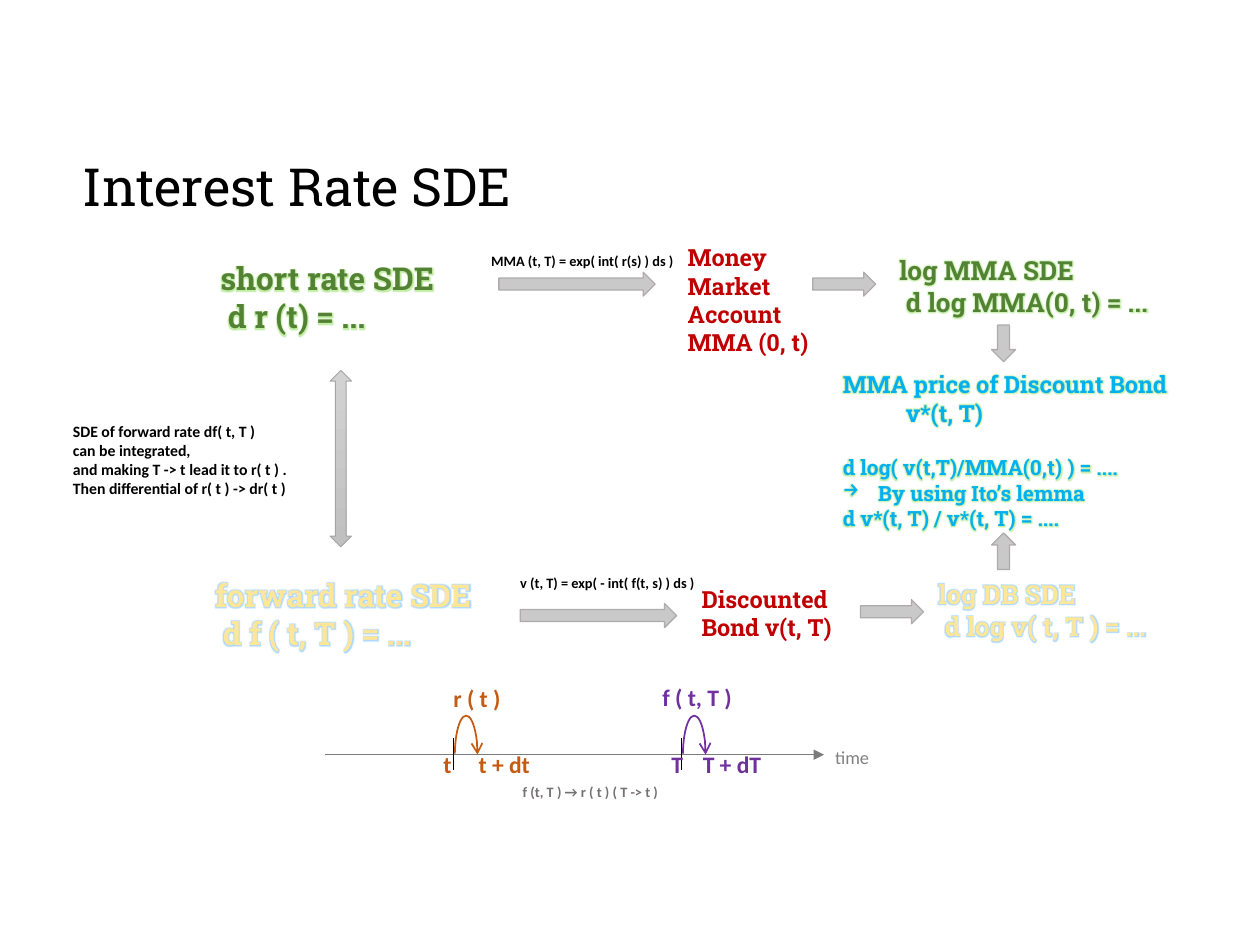
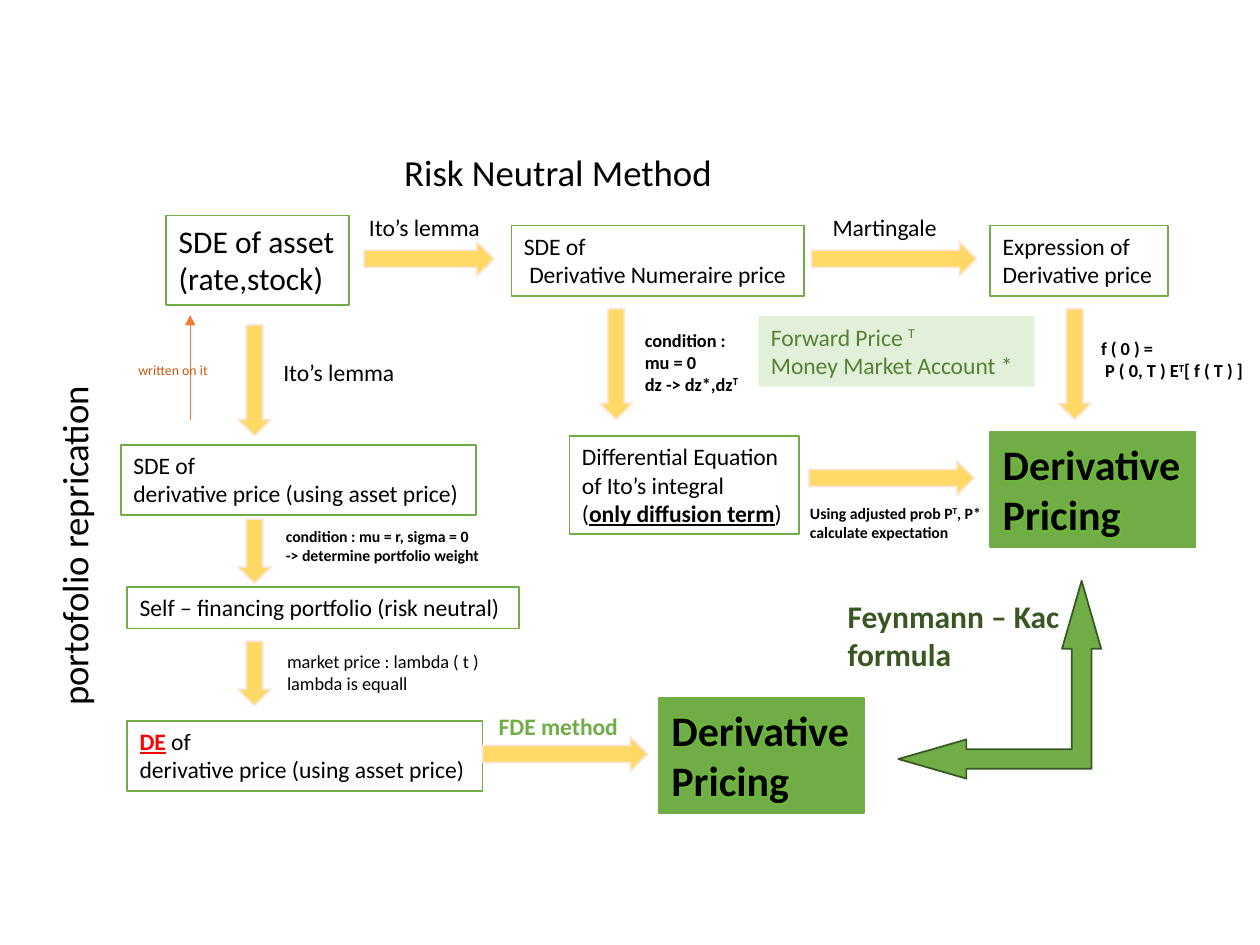
from lxml.etree import SubElement
from pptx import Presentation
from pptx.dml.color import RGBColor
from pptx.enum.shapes import MSO_CONNECTOR, MSO_SHAPE
from pptx.enum.text import MSO_AUTO_SIZE
from pptx.oxml.ns import qn
from pptx.util import Pt

EMU_PER_PX = 9144
SERIF, SANS = "Roboto Slab", "Calibri"
COLORS = {
    "black": "000000", "white": "FFFFFF", "red": "C00000", "alert": "FF0000",
    "moss": "548235", "cream": "FFE699", "sky": "00B0F0", "rust": "C55A11",
    "purple": "7030A0", "slate": "767171", "axis": "7C7C7C", "label": "808080",
    "gray": "C9C9C9", "gray edge": "AFABAB", "gray top": "D2D2D2",
    "gray bottom": "C0C0C0", "gray rim": "A5A5A5", "gold": "FFD966",
    "gold edge": "FBE5D6", "orange": "ED7D31", "green": "70AD47",
    "forest": "385723", "mint": "E2F0D9", "lime glow": "68D31F", "blue glow": "31A0FF",
}


def px(length):
    return length * EMU_PER_PX


def rgb(name):
    return RGBColor.from_string(COLORS[name])


class Board:
    def __init__(self, deck):
        self.deck = deck
        self.slide = None

    def new_slide(self):
        self.slide = self.deck.slides.add_slide(self.deck.slide_layouts[6])

    def paint(self, shape, fill=None, line=None, width=1):
        if fill:
            shape.fill.solid()
            shape.fill.fore_color.rgb = rgb(fill)
        else:
            shape.fill.background()
        if line:
            shape.line.color.rgb = rgb(line)
            shape.line.width = Pt(width)
        else:
            shape.line.fill.background()

    def arrowhead(self, shape, kind):
        SubElement(shape.line._get_or_add_ln(), qn("a:tailEnd"), type=kind)

    def add_glow(self, run, color):
        effects = SubElement(run._r.get_or_add_rPr(), qn("a:effectLst"))
        glow = SubElement(effects, qn("a:glow"), rad="48000")
        tint = SubElement(glow, qn("a:srgbClr"), val=COLORS[color])
        SubElement(tint, qn("a:alpha"), val="40000")

    def add_run(self, paragraph, text, mark=None, glow=None):
        run = paragraph.add_run()
        run.text = text
        if mark == "super":
            run._r.get_or_add_rPr().set("baseline", "30000")
        elif mark:
            run.font.bold = run.font.underline = True
            if mark == "alert":
                run.font.color.rgb = rgb("alert")
        if glow:
            self.add_glow(run, glow)

    def text(self, at, lines, size, color="black", bold=False, font=SANS,
             glow=None, fill=None, line=None, rotation=0):
        box = self.slide.shapes.add_textbox(*map(px, at))
        box.rotation = rotation
        self.paint(box, fill, line)
        frame = box.text_frame
        frame.word_wrap = False
        frame.auto_size = MSO_AUTO_SIZE.SHAPE_TO_FIT_TEXT
        for index, content in enumerate(lines):
            paragraph = frame.add_paragraph() if index else frame.paragraphs[0]
            style = paragraph.font
            style.name, style.size, style.bold = font, Pt(size), bold
            style.color.rgb = rgb(color)
            for part in [(content,)] if isinstance(content, str) else content:
                self.add_run(paragraph, *part, glow=glow)
        return frame.paragraphs

    def serif(self, at, lines, size, color, glow=None):
        return self.text(at, lines, size, color, True, SERIF, glow)

    def step(self, at, lines, size=13.5):
        self.text(at, lines, size, fill="white", line="green")

    def goal(self, left, top):
        self.text((left, top, 163, 91), ["Derivative", "Pricing"], 24, bold=True,
                  glow="lime glow", fill="green", line="green")

    def shape(self, kind, at, fill=None, line=None, width=1, adjustments=()):
        shape = self.slide.shapes.add_shape(kind, *map(px, at))
        shape.shadow.inherit = False
        for index, value in enumerate(adjustments):
            shape.adjustments[index] = value
        self.paint(shape, fill, line, width)
        return shape

    def gray_arrow(self, kind, *at):
        self.shape(kind, at, "gray", "gray edge", 0.75)

    def gold_arrow(self, kind, *at):
        self.shape(kind, at, "gold", "gold edge")

    def line(self, start, end, color, head=None):
        line = self.slide.shapes.add_connector(MSO_CONNECTOR.STRAIGHT, *map(px, start + end))
        line.line.color.rgb = rgb(color)
        line.line.width = Pt(0.5)
        SubElement(line._element.spPr, qn("a:effectLst"))
        if head:
            self.arrowhead(line, head)

    def hop(self, left, color):
        arc = self.shape(MSO_SHAPE.ARC, (left, 568, 18, 62), line=color,
                         adjustments=(111.53, 0))
        self.arrowhead(arc, "arrow")


def timeline(board):
    board.line((258, 599), (654, 599), "axis", "triangle")
    board.text((653, 587, 48, 28), ["time"], 10.5, "label")
    moments = [
        (360, "rust", ("t", 342, 27), ("t + dt", 370, 61), ("r ( t )", 350, 538, 58)),
        (541, "purple", ("T", 523, 29), ("T + dT", 548, 67), ("f ( t, T )", 516, 537, 76)),
    ]
    for tick, color, start, end, (rate, left, top, width) in moments:
        board.line((tick, 586), (tick, 611), "black")
        for label, label_left, label_width in (start, end):
            board.text((label_left, 590, label_width, 33), [label], 13.5, color, True)
        board.hop(tick + 1, color)
        board.text((left, top, width, 33), [rate], 13.5, color, True)
    board.text((405, 617, 132, 24), ["f (t, T ) → r ( t ) ( T -> t )"], 8.2, "slate", True)


def interest_rate(board):
    board.new_slide()
    board.text((56, 117, 400, 61), ["Interest Rate SDE"], 30, font=SERIF)
    sdes = [
        ((165, 201, 216, 71), ["short rate SDE", " d r (t) = ..."], 18, "moss", "lime glow"),
        ((704, 197, 234, 61), ["log MMA SDE", " d log MMA(0, t) = ..."], 15, "moss", "lime glow"),
        ((161, 452, 247, 71), ["forward rate SDE", " d f ( t, T ) = ..."], 18, "cream", "blue glow"),
        ((735, 454, 210, 61), ["log DB SDE", " d log v( t, T ) = ..."], 15, "cream", "blue glow"),
        ((536, 188, 124, 101), ["Money", "Market", "Account", "MMA (0, t)"], 13.5, "red"),
        ((547, 459, 138, 56), ["Discounted", "Bond v(t, T)"], 13.5, "red"),
    ]
    for sde in sdes:
        board.serif(*sde)

    exchange = board.shape(MSO_SHAPE.UP_DOWN_ARROW, (262, 294, 17, 140),
                           line="gray rim", width=0.5)
    exchange.fill.gradient()
    exchange.fill.gradient_angle = 270
    for stop, color in zip(exchange.fill.gradient_stops, ("gray top", "gray bottom")):
        stop.color.rgb = rgb(color)

    for left, top, width in ((396, 216, 124), (413, 479, 124), (645, 216, 50), (683, 476, 50)):
        board.gray_arrow(MSO_SHAPE.RIGHT_ARROW, left, top, width, 19)
    board.gray_arrow(MSO_SHAPE.DOWN_ARROW, 787, 258, 19, 29)
    board.gray_arrow(MSO_SHAPE.UP_ARROW, 787, 423, 19, 29)

    board.text((48, 330, 192, 71), [
        "SDE of forward rate df( t, T )", "can be integrated,",
        "and making T -> t lead it to r( t ) .", "Then differential of r( t ) -> dr( t )",
    ], 9, bold=True)
    board.text((380, 195, 169, 24), ["MMA (t, T) = exp( int( r(s) ) ds )"], 8.2, bold=True)
    board.text((403, 451, 162, 24), ["v (t, T) = exp( - int( f(t, s) ) ds )"], 8.2, bold=True)
    timeline(board)

    bond = board.serif((659, 289, 299, 136), [
        "MMA price of Discount Bond", "\tv*(t, T)", "d log( v(t,T)/MMA(0,t) ) = ....",
        "By using Ito’s lemma", "d v*(t, T) / v*(t, T) = ....",
    ], 13.5, "sky", "lime glow")
    for paragraph in bond[2:]:
        paragraph.font.size = Pt(12)
    bond[2].space_before = Pt(16)
    lemma = bond[3]._p.get_or_add_pPr()
    lemma.set("marL", str(px(28)))
    lemma.set("indent", str(px(-28)))
    bullet = SubElement(lemma, qn("a:buChar"), char="→")
    lemma.insert(0, bullet)


def risk_neutral(board):
    board.new_slide()
    board.text((311, 114, 345, 45), ["Risk Neutral Method"], 21)
    board.text((-123, 366, 363, 45), ["portofolio reprication"], 21, rotation=270)

    using_asset = "derivative price (using asset price)"
    board.step((132, 171, 145, 71), ["SDE of asset", "(rate,stock)"], 18)
    board.step((96, 353, 282, 56), ["SDE of", using_asset])
    board.step((101, 466, 311, 33), ["Self – financing portfolio (risk neutral)"])
    board.step((101, 572, 282, 56), [[("DE", "alert"), (" of",)], using_asset])
    board.step((406, 179, 232, 56), ["SDE of", " Derivative Numeraire price"])
    board.step((786, 179, 141, 56), ["Expression of", "Derivative price"])
    board.step((452, 346, 182, 78), [
        "Differential Equation", "of Ito’s integral",
        [("(",), ("only diffusion term", "strong"), (")",)],
    ])
    board.goal(786, 343)
    board.goal(523, 554)
    board.text((602, 251, 219, 56), [[("Forward Price ",), ("T", "super")],
                                     "Money Market Account *"], 13.5, "moss", fill="mint")

    for left, top, height in ((189, 258, 88), (189, 412, 51), (189, 509, 51),
                              (476, 245, 88), (840, 245, 88)):
        board.gold_arrow(MSO_SHAPE.DOWN_ARROW, left, top, 26, height)
    for left, top, width in ((289, 192, 103), (644, 192, 131), (642, 366, 131), (383, 585, 131)):
        board.gold_arrow(MSO_SHAPE.RIGHT_ARROW, left, top, width, 27)
    board.line((151, 333), (151, 250), "orange", "triangle")
    board.shape(MSO_SHAPE.LEFT_UP_ARROW, (713, 461, 161, 157), "green", "forest",
                adjustments=(0.099, 0.099, 0.344))

    for left, top, width, method in ((215, 279, 109, "Ito’s lemma"), (283, 164, 109, "Ito’s lemma"),
                                     (651, 164, 104, "Martingale")):
        board.text((left, top, width, 33), [method], 13.5)
    board.text((100, 282, 96, 23), ["written on it"], 7.9, "rust")
    board.text((217, 413, 177, 40), ["condition : mu = r, sigma = 0",
                                     "-> determine portfolio weight"], 9, bold=True)
    board.text((218, 511, 175, 45), ["market price : lambda ( t )", "lambda is equall"], 10.5)
    board.text((502, 256, 96, 63), ["condition :", "mu = 0",
                                    [("dz -> dz*,dz",), ("T", "super")]], 10.5, bold=True)
    board.text((633, 395, 159, 40), [[("Using adjusted prob P",), ("T", "super"), (", P*",)],
                                     "calculate expectation"], 9, bold=True)
    board.text((864, 263, 135, 45), ["f ( 0 ) =", [(" P ( 0, T ) E",), ("T", "super"),
                                                   ("[ f ( T ) ]",)]], 10.5, bold=True)
    board.text((386, 560, 120, 33), ["FDE method"], 13.5, "green", True)
    board.text((663, 469, 196, 71), ["Feynmann – Kac", "formula"], 18, "forest", True)


def main():
    deck = Presentation()
    deck.slide_width, deck.slide_height = px(1000), px(750)
    board = Board(deck)
    interest_rate(board)
    risk_neutral(board)
    deck.save("out.pptx")


if __name__ == "__main__":
    main()
